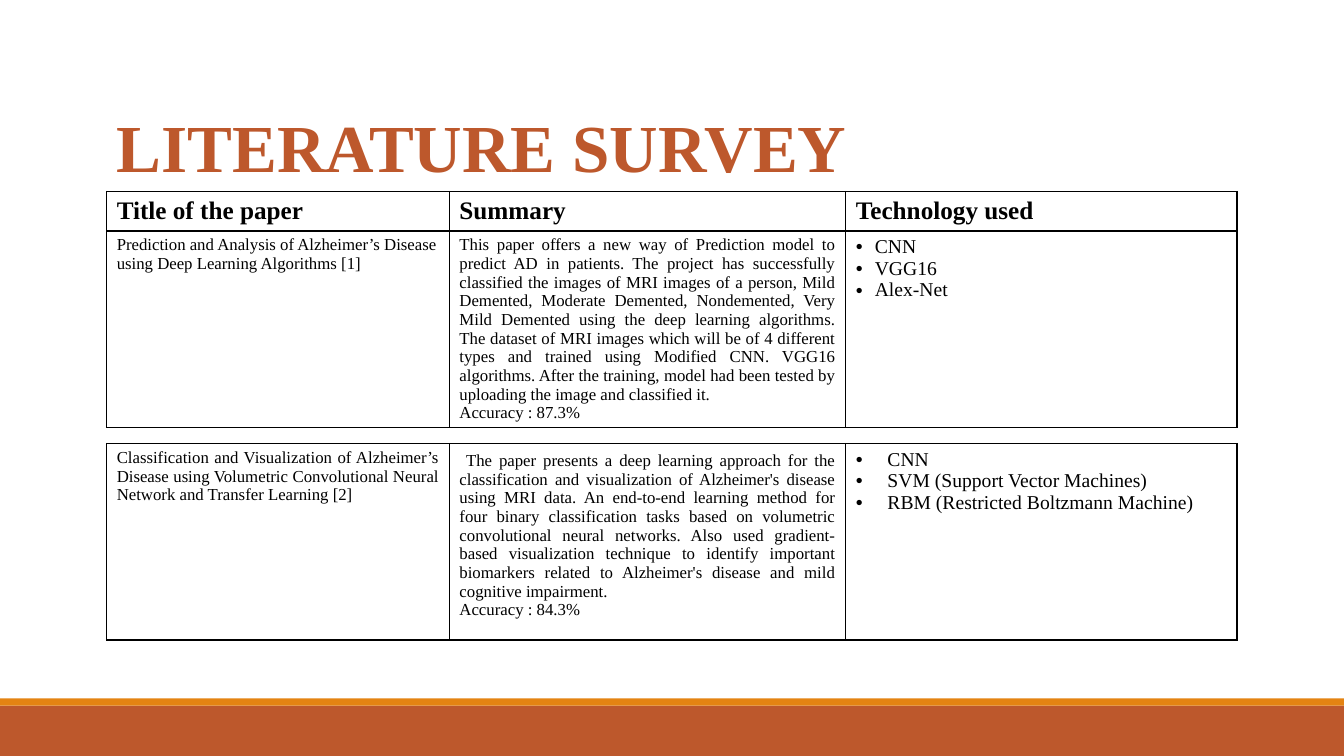
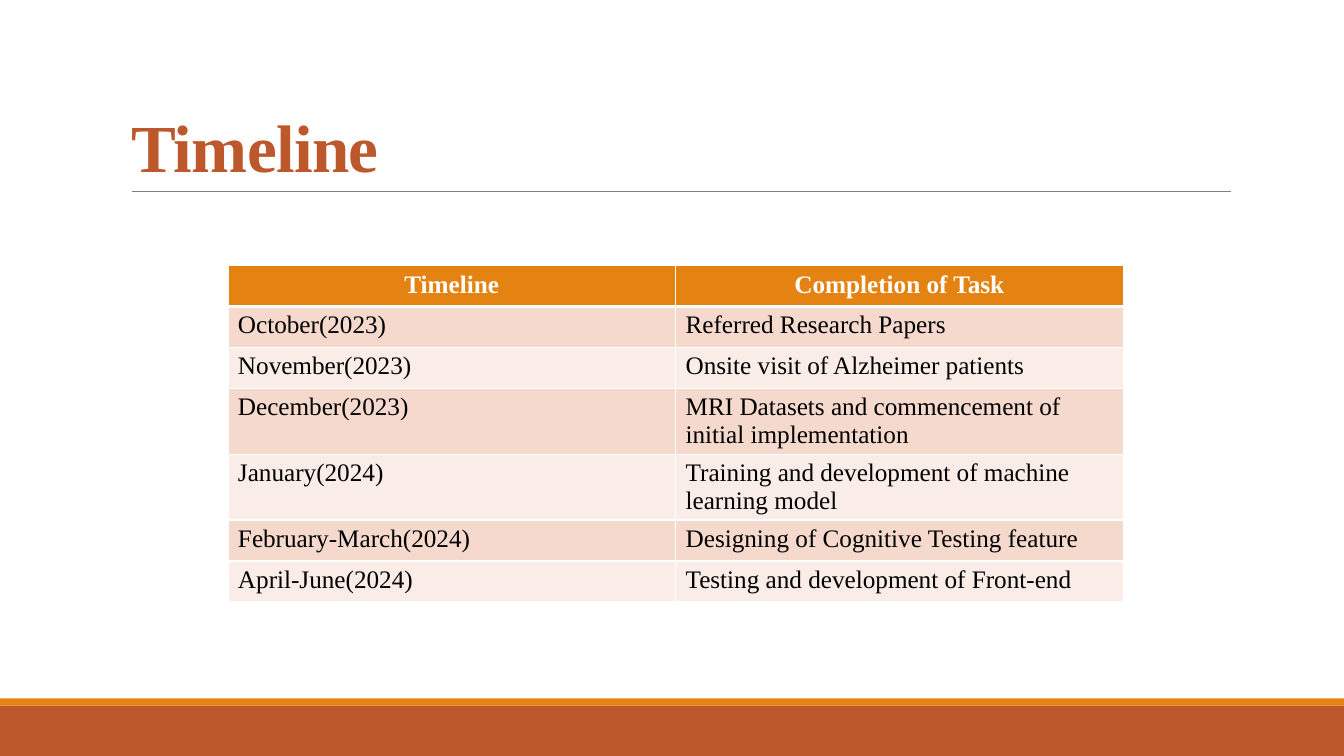
from lxml.etree import SubElement
from pptx import Presentation
from pptx.dml.color import RGBColor
from pptx.enum.shapes import MSO_CONNECTOR as Connector, MSO_SHAPE as Shape
from pptx.enum.text import MSO_ANCHOR as Anchor, MSO_AUTO_SIZE as AutoSize, PP_ALIGN as Align
from pptx.oxml.ns import qn
from pptx.util import Pt

SLIDE_W, SLIDE_H = 960, 540
FONT = "Times New Roman"
RUST, ORANGE, GREY = "BD582C", "E48312", "808080"
BLACK, WHITE = "000000", "FFFFFF"
STRIPES = ("F5D9CC", "FAEDE7")
TITLE_BASE = 136.8

SURVEY_HEADINGS = ("Title of the paper", "Summary", "Technology used")
SURVEY_WIDTHS = (244.8, 283.2, 279.4)
PAPERS = [
    (
        ["Prediction and Analysis of Alzheimer’s Disease using Deep Learning Algorithms [1]"],
        ["This paper offers a new way of Prediction model to predict AD in patients. "
         "The project has successfully classified the images of MRI images of a person, "
         "Mild Demented, Moderate Demented, Nondemented, Very Mild Demented using the deep "
         "learning algorithms. The dataset of MRI images which will be of 4 different types "
         "and trained using Modified CNN. VGG16 algorithms. After the training, model had "
         "been tested by uploading the image and classified it.",
         "Accuracy : 87.3%"],
        ["CNN", "VGG16", "Alex-Net"],
    ),
    (
        ["Classification and Visualization of Alzheimer’s Disease using Volumetric "
         "Convolutional Neural Network and Transfer Learning [2]"],
        [" The paper presents a deep learning approach for the classification and "
         "visualization of Alzheimer's disease using MRI data. An end-to-end learning method "
         "for four binary classification tasks based on volumetric convolutional neural "
         "networks. Also used gradient-based visualization technique to identify important "
         "biomarkers related to Alzheimer's disease and mild cognitive impairment.",
         "Accuracy : 84.3%"],
        ["CNN", "SVM (Support Vector Machines)", "RBM (Restricted Boltzmann Machine)"],
    ),
]

SCHEDULE = [
    ("Timeline", "Completion of Task"),
    ("October(2023)", "Referred Research Papers"),
    ("November(2023)", "Onsite visit of Alzheimer patients"),
    ("December(2023)", "MRI Datasets and commencement of initial implementation"),
    ("January(2024)", "Training and development of machine learning model"),
    ("February-March(2024)", "Designing of Cognitive Testing feature"),
    ("April-June(2024)", "Testing and development of Front-end"),
]


def paint(color_format, color):
    color_format.rgb = RGBColor.from_string(color)


def style_runs(paragraph, size, color, bold=False):
    for run in paragraph.runs:
        run.font.name, run.font.size, run.font.bold = FONT, Pt(size), bold
        paint(run.font.color, color)


def add_band(slide, top, height, color):
    band = slide.shapes.add_shape(Shape.RECTANGLE, 0, Pt(top), Pt(SLIDE_W), Pt(height))
    band.shadow.inherit = False
    band.fill.solid()
    paint(band.fill.fore_color, color)
    band.line.fill.background()


def add_title(slide, text, left, width, tracking=0):
    """Set the title on the rule; tracking is in points."""
    height = 114.4
    title = slide.shapes.title
    title.left, title.top = Pt(left), Pt(TITLE_BASE - height)
    title.width, title.height = Pt(width), Pt(height)
    frame = title.text_frame
    frame.text = text
    frame.auto_size, frame.word_wrap = AutoSize.NONE, True
    frame.vertical_anchor = Anchor.BOTTOM
    line = frame.paragraphs[0]
    line.alignment, line.line_spacing = Align.LEFT, 0.85
    style_runs(line, 48, RUST, bold=True)
    line.runs[0].font._element.set("spc", str(round(tracking * 100)))


def add_framed_slide(prs):
    """Add a slide with the footer bands and the rule under the title."""
    slide = prs.slides.add_slide(prs.slide_layouts[5])
    add_band(slide, 504, 36, RUST)
    add_band(slide, 498.8, 5.2, ORANGE)
    rule = slide.shapes.add_connector(
        Connector.STRAIGHT, Pt(94.3), Pt(TITLE_BASE), Pt(879), Pt(TITLE_BASE))
    rule.line.width = Pt(0.5)
    paint(rule.line.color, GREY)
    SubElement(rule._element.spPr, qn("a:effectLst"))
    return slide


def set_borders(cell, color, top=1, bottom=1):
    props = cell._tc.get_or_add_tcPr()
    for side, width in (("L", 1), ("R", 1), ("T", top), ("B", bottom)):
        edge = SubElement(props, qn(f"a:ln{side}"), w=str(Pt(width)))
        fill = SubElement(edge, qn("a:solidFill"))
        SubElement(fill, qn("a:srgbClr"), val=color)


def fill_cell(cell, lines, size, color=BLACK, bold=False, align=Align.LEFT):
    cell.text_frame.text = "\n".join(lines)
    for paragraph in cell.text_frame.paragraphs:
        paragraph.alignment = align
        style_runs(paragraph, size, color, bold)


def add_bullets(cell, indent):
    for paragraph in cell.text_frame.paragraphs:
        props = paragraph._p.get_or_add_pPr()
        props.set("marL", str(Pt(indent)))
        props.set("indent", str(-Pt(indent)))
        SubElement(props, qn("a:buFont"), typeface="Arial")
        SubElement(props, qn("a:buChar"), char="•")


def add_grid(slide, left, top, widths, heights):
    frame = slide.shapes.add_table(
        len(heights), len(widths), Pt(left), Pt(top), Pt(sum(widths)), Pt(sum(heights)))
    table = frame.table
    table.first_row = table.horz_banding = False
    for column, width in zip(table.columns, widths):
        column.width = Pt(width)
    for row, height in zip(table.rows, heights):
        row.height = Pt(height)
    return table


def fill_paper_row(table, row, paper, title_align, indent):
    title, summary, technology = (table.cell(row, column) for column in range(3))
    fill_cell(title, paper[0], 12, align=title_align)
    fill_cell(summary, paper[1], 12, align=Align.JUSTIFY)
    fill_cell(technology, paper[2], 14)
    add_bullets(technology, indent)
    return summary


def outline_table(table):
    for cell in table.iter_cells():
        set_borders(cell, BLACK)
        cell.fill.background()


def build_survey(prs):
    slide = add_framed_slide(prs)
    left, paper_height = 76.2, 140.4
    add_title(slide, "LITERATURE SURVEY", left, 557)

    first = add_grid(slide, left, TITLE_BASE, SURVEY_WIDTHS, (28.2, paper_height))
    for column, heading in enumerate(SURVEY_HEADINGS):
        fill_cell(first.cell(0, column), [heading], 18, bold=True)
    fill_paper_row(first, 1, PAPERS[0], Align.LEFT, 13.5)
    outline_table(first)

    second = add_grid(slide, left, 316.8, SURVEY_WIDTHS, (paper_height,))
    summary = fill_paper_row(second, 0, PAPERS[1], Align.JUSTIFY, 22.5)
    summary.margin_top = Pt(5.8)
    outline_table(second)


def build_timeline(prs):
    slide = add_framed_slide(prs)
    add_title(slide, "Timeline", 86.4, 792, tracking=-0.5)
    table = add_grid(slide, 162.8, 189.7, (319.8, 319.8), [29.2] * len(SCHEDULE))
    for row, entries in enumerate(SCHEDULE):
        header = row == 0
        for column, entry in enumerate(entries):
            cell = table.cell(row, column)
            if header:
                fill_cell(cell, [entry], 18, WHITE, True, Align.CENTER)
            else:
                fill_cell(cell, [entry], 18)
            set_borders(cell, WHITE, top=3 if row == 1 else 1, bottom=3 if header else 1)
            cell.fill.solid()
            paint(cell.fill.fore_color, ORANGE if header else STRIPES[(row - 1) % 2])


def main():
    prs = Presentation()
    prs.slide_width, prs.slide_height = Pt(SLIDE_W), Pt(SLIDE_H)
    build_survey(prs)
    build_timeline(prs)
    prs.save("out.pptx")


if __name__ == "__main__":
    main()
